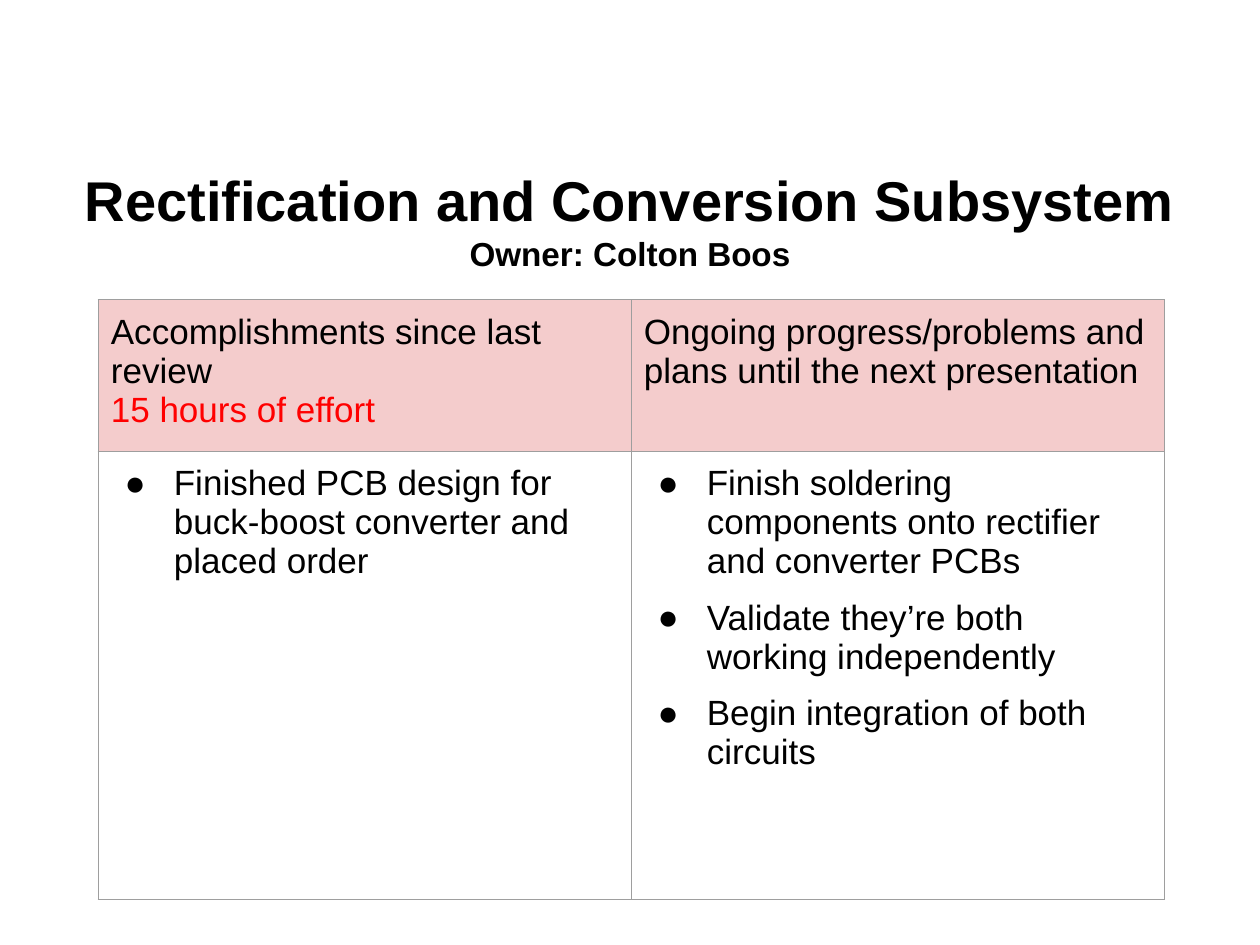
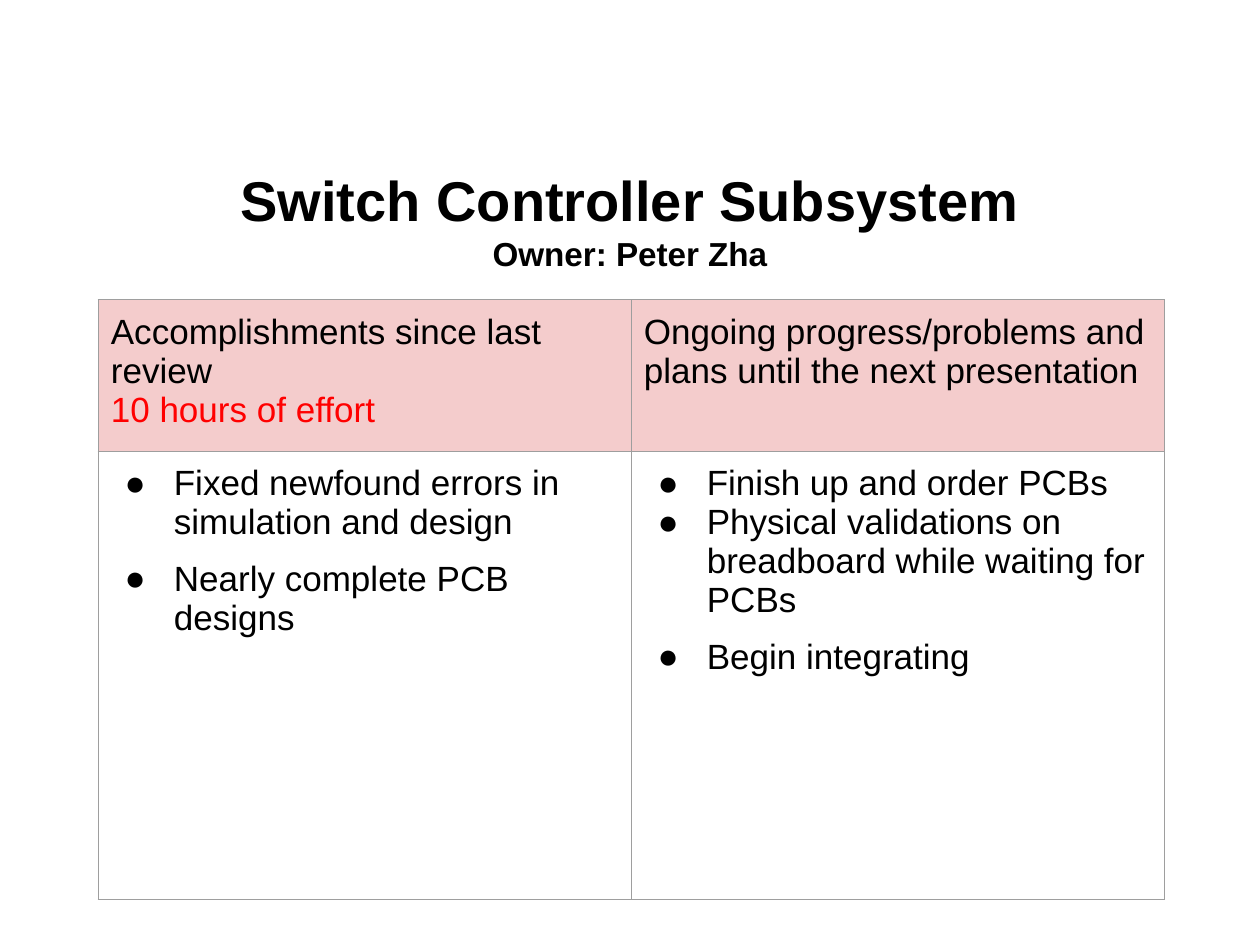
from lxml.etree import SubElement
from pptx import Presentation
from pptx.dml.color import RGBColor
from pptx.enum.text import MSO_ANCHOR as Anchor, PP_ALIGN as Align
from pptx.oxml.ns import qn
from pptx.util import Inches, Pt

BLACK = RGBColor(0x00, 0x00, 0x00)
RED = RGBColor(0xFF, 0x00, 0x00)
PINK = RGBColor(0xF4, 0xCC, 0xCC)
GREY = RGBColor(0x9E, 0x9E, 0x9E)

FONT = "Arial"
TITLE_SIZE, OWNER_SIZE, BODY_SIZE = 32, 19, 20
BULLET_GAP = 10
BORDER_WIDTH = 0.75
COLUMN_WIDTH = 4.23
ROW_HEIGHTS = (0.94, 3.56)

DONE_HEADING = "Accomplishments since last review"
PLANS_HEADING = "Ongoing progress/problems and plans until the next presentation"

# Each bullet is its text and whether it stands apart from the one above.
SUBSYSTEMS = [
    {
        "title": "Rectification and Conversion Subsystem",
        "owner": "Colton Boos",
        "hours": 15,
        "done": [("Finished PCB design for buck-boost converter and placed order", False)],
        "plans": [
            ("Finish soldering components onto rectifier and converter PCBs", False),
            ("Validate they’re both working independently", True),
            ("Begin integration of both circuits", True),
        ],
    },
    {
        "title": "Switch Controller Subsystem",
        "owner": "Peter Zha",
        "hours": 10,
        "done": [
            ("Fixed newfound errors in simulation and design", False),
            ("Nearly complete PCB designs", True),
        ],
        "plans": [
            ("Finish up and order PCBs", False),
            ("Physical validations on breadboard while waiting for PCBs", False),
            ("Begin integrating", True),
        ],
    },
]


class ReviewDeck:
    """Holds the presentation, its style and the slide being filled."""

    def __init__(self):
        self.prs = Presentation()
        self.prs.slide_width, self.prs.slide_height = Inches(10), Inches(7.5)
        self.slide = None

    def new_slide(self):
        self.slide = self.prs.slides.add_slide(self.prs.slide_layouts[6])

    def paragraph(self, frame, index):
        return frame.paragraphs[0] if index == 0 else frame.add_paragraph()

    def run(self, paragraph, text, size=BODY_SIZE, color=BLACK, bold=False):
        run = paragraph.add_run()
        run.text = text
        run.font.name, run.font.size, run.font.bold = FONT, Pt(size), bold
        run.font.color.rgb = color

    def title(self, title, owner):
        box = self.slide.shapes.add_textbox(Inches(0.5), Inches(1.15), Inches(9), Inches(1.18))
        frame = box.text_frame
        frame.word_wrap = True
        frame.vertical_anchor = Anchor.MIDDLE
        lines = [(title, TITLE_SIZE), (f"Owner: {owner}", OWNER_SIZE)]
        for index, (text, size) in enumerate(lines):
            paragraph = self.paragraph(frame, index)
            paragraph.alignment = Align.CENTER
            self.run(paragraph, text, size, bold=True)

    def review_table(self):
        """Add the empty two-column grid and return its table."""
        table = self.slide.shapes.add_table(
            2, 2, Inches(0.78), Inches(2.38),
            Inches(2 * COLUMN_WIDTH), Inches(sum(ROW_HEIGHTS))).table
        table.first_row = table.horz_banding = False
        for column in table.columns:
            column.width = Inches(COLUMN_WIDTH)
        for row, height in zip(table.rows, ROW_HEIGHTS):
            row.height = Inches(height)
        for cell in table.iter_cells():
            cell.margin_left = cell.margin_right = Inches(0.1)
            cell.margin_top = cell.margin_bottom = Inches(0.1)
            self.borders(cell)
        return table

    def borders(self, cell):
        properties = cell._tc.get_or_add_tcPr()
        for side in ("lnL", "lnR", "lnT", "lnB"):
            line = SubElement(properties, qn(f"a:{side}"), w=str(Pt(BORDER_WIDTH)))
            fill = SubElement(line, qn("a:solidFill"))
            SubElement(fill, qn("a:srgbClr"), val=str(GREY))

    def heading(self, cell, *lines):
        cell.fill.solid()
        cell.fill.fore_color.rgb = PINK
        for index, (text, color) in enumerate(lines):
            self.run(self.paragraph(cell.text_frame, index), text, color=color)

    def bullets(self, cell, items):
        cell.fill.background()
        for index, (text, apart) in enumerate(items):
            paragraph = self.paragraph(cell.text_frame, index)
            properties = paragraph._p.get_or_add_pPr()
            properties.set("marL", str(Inches(0.5)))
            properties.set("indent", str(Inches(-0.39)))
            color = SubElement(properties, qn("a:buClr"))
            SubElement(color, qn("a:srgbClr"), val=str(BLACK))
            SubElement(properties, qn("a:buFont"), typeface=FONT)
            SubElement(properties, qn("a:buChar"), char="●")
            if apart:
                paragraph.space_before = Pt(BULLET_GAP)
            self.run(paragraph, text)

    def subsystem(self, title, owner, hours, done, plans):
        self.new_slide()
        self.title(title, owner)
        table = self.review_table()
        self.heading(table.cell(0, 0), (DONE_HEADING, BLACK), (f"{hours} hours of effort", RED))
        self.heading(table.cell(0, 1), (PLANS_HEADING, BLACK))
        self.bullets(table.cell(1, 0), done)
        self.bullets(table.cell(1, 1), plans)


def main():
    deck = ReviewDeck()
    for subsystem in SUBSYSTEMS:
        deck.subsystem(**subsystem)
    deck.prs.save("out.pptx")


if __name__ == "__main__":
    main()
